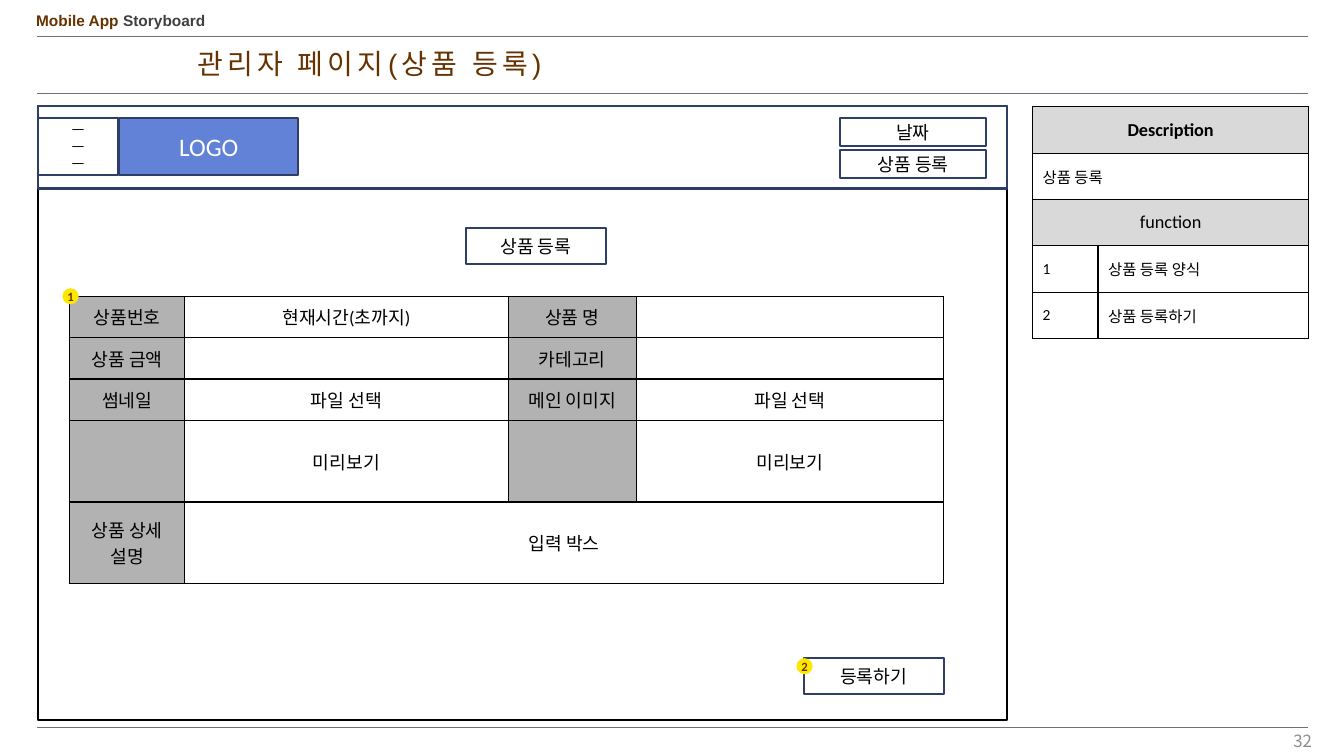
from lxml import etree
from pptx import Presentation
from pptx import util as u
from pptx.dml.color import RGBColor
from pptx.enum import shapes, text
from pptx.oxml import ns

BLACK = RGBColor(0x00, 0x00, 0x00)
WHITE = RGBColor(0xFF, 0xFF, 0xFF)
BROWN = RGBColor(0x66, 0x33, 0x00)
CHARCOAL = RGBColor(0x40, 0x40, 0x40)
RULE = RGBColor(0x68, 0x72, 0x7E)
PAGE_GRAY = RGBColor(0x8C, 0x8C, 0x8C)
NAVY = RGBColor(0x2E, 0x3E, 0x67)
BLUE = RGBColor(0x61, 0x82, 0xD6)
YELLOW = RGBColor(0xFC, 0xE7, 0x00)
LIGHT_GRAY = RGBColor(0xD9, 0xD9, 0xD9)
LABEL_GRAY = RGBColor(0xB2, 0xB2, 0xB2)

LEFT, CENTER, RIGHT = text.PP_ALIGN.LEFT, text.PP_ALIGN.CENTER, text.PP_ALIGN.RIGHT
RECT, OVAL = shapes.MSO_SHAPE.RECTANGLE, shapes.MSO_SHAPE.OVAL

BODY = {"name": "Calibri", "size": u.Pt(13), "color": BLACK, "bold": False}
HEADING = BODY | {"bold": True}
NOTE = BODY | {"size": u.Pt(11)}
MENU = BODY | {"size": u.Pt(10)}
LOGO = BODY | {"size": u.Pt(18), "color": WHITE}
BADGE = BODY | {"size": u.Pt(9), "color": BROWN, "bold": True}
BRAND = {"name": "Arial", "size": u.Pt(11), "color": BROWN, "bold": True}
TITLE = {"name": "Arial", "size": u.Pt(20), "color": BROWN}
PAGE_NUMBER = {"name": "Noto Sans CJK KR", "size": u.Pt(12), "color": PAGE_GRAY}

RULE_TOPS = [0.36, 0.92, 7.21]

TEXTS = [
    ((0.26, 0.1, 3.57, 0.25), LEFT, text.MSO_ANCHOR.TOP, 0.8,
     [("Mobile App ", BRAND), ("Storyboard", BRAND | {"color": CHARCOAL})]),
    ((1.86, 0.45, 4.8, 0.4), LEFT, text.MSO_ANCHOR.TOP, 0.9,
     [("관리자 페이지(상품 등록)", TITLE)]),
    ((10.24, 7.15, 2.87, 0.4), RIGHT, text.MSO_ANCHOR.MIDDLE, 1.0,
     [("32", PAGE_NUMBER)]),
]

FRAMES = [
    ((0.38, 1.05, 9.61, 6.09), WHITE, BLACK, "", BODY),
    ((0.38, 1.05, 9.61, 0.82), WHITE, NAVY, "", BODY),
    ((1.18, 1.17, 1.78, 0.57), BLUE, NAVY, "LOGO", LOGO),
    ((0.38, 1.17, 0.79, 0.57), WHITE, NAVY, "ㅡ\nㅡ\nㅡ", MENU),
    ((8.33, 1.17, 1.45, 0.28), WHITE, NAVY, "날짜", BODY),
    ((8.33, 1.49, 1.45, 0.28), WHITE, NAVY, "상품 등록", BODY),
    ((4.62, 2.26, 1.39, 0.36), WHITE, NAVY, "상품 등록", BODY),
    ((7.97, 6.53, 1.39, 0.36), WHITE, NAVY, "등록하기", BODY),
]

BADGES = [("1", 0.62, 2.86), ("2", 7.9, 6.53)]

DESCRIPTION_COLUMNS = [0.65, 2.09]
DESCRIPTION_ROWS = [0.46] * 5
DESCRIPTION = [
    ["Description", ""],
    ["상품 등록", ""],
    ["function", ""],
    ["1", "상품 등록 양식"],
    ["2", "상품 등록하기"],
]
DESCRIPTION_MERGES = [(row, 0, 1) for row in range(3)]

PRODUCT_COLUMNS = [1.14, 3.21, 1.27, 3.05]
PRODUCT_ROWS = [0.41] * 3 + [0.81] * 2
PRODUCT = [
    ["상품번호", "현재시간(초까지)", "상품 명", ""],
    ["상품 금액", "", "카테고리", ""],
    ["썸네일", "파일 선택", "메인 이미지", "파일 선택"],
    ["", "미리보기", "", "미리보기"],
    ["상품 상세\n설명", "입력 박스", "", ""],
]
PRODUCT_MERGES = [(4, 1, 3)]


def inches(values):
    return [u.Inches(value) for value in values]


def style_font(font, style):
    for name, value in style.items():
        if name == "color":
            font.color.rgb = value
        else:
            setattr(font, name, value)


def write(frame, content, style, align):
    frame.text = content
    for para in frame.paragraphs:
        para.alignment = align
        style_font(para.font, style)
        for span in para.runs:
            style_font(span.font, style)


def add_rule(page, top):
    rule = page.shapes.add_connector(
        shapes.MSO_CONNECTOR.STRAIGHT, *inches((0.37, top, 12.97, top)))
    rule.line.color.rgb = RULE
    rule.line.width = u.Pt(0.25)
    etree.SubElement(rule._element.spPr, ns.qn("a:effectLst"))


def add_text(page, place, align, anchor, spacing, spans):
    frame = page.shapes.add_textbox(*inches(place)).text_frame
    frame.word_wrap = True
    frame.vertical_anchor = anchor
    para = frame.paragraphs[0]
    para.alignment = align
    para.line_spacing = spacing
    for content, style in spans:
        span = para.add_run()
        span.text = content
        style_font(span.font, style)
        if style is TITLE:
            span.font._element.set("spc", "300")


def add_box(page, kind, place, fill, line, content, style):
    box = page.shapes.add_shape(kind, *inches(place))
    box.shadow.inherit = False
    box.fill.solid()
    box.fill.fore_color.rgb = fill
    if line is None:
        box.line.fill.background()
    else:
        box.line.color.rgb = line
        box.line.width = u.Pt(1.5)
    frame = box.text_frame
    frame.word_wrap = True
    frame.vertical_anchor = text.MSO_ANCHOR.MIDDLE
    if kind == OVAL:
        for side in ("left", "top", "right", "bottom"):
            setattr(frame, f"margin_{side}", 0)
    if content:
        write(frame, content, style, CENTER)


def add_borders(cell):
    properties = cell._tc.get_or_add_tcPr()
    for side in ("lnL", "lnR", "lnT", "lnB"):
        border = etree.SubElement(properties, ns.qn(f"a:{side}"), w=str(u.Pt(1)))
        fill = etree.SubElement(border, ns.qn("a:solidFill"))
        etree.SubElement(fill, ns.qn("a:srgbClr"), val=str(BLACK))


def add_grid(page, left, top, columns, rows, contents, merges, cell_format):
    place = inches((left, top, sum(columns), sum(rows)))
    table = page.shapes.add_table(len(rows), len(columns), *place).table
    for column, width in zip(table.columns, columns):
        column.width = u.Inches(width)
    for row, height in zip(table.rows, rows):
        row.height = u.Inches(height)
    for r, line in enumerate(contents):
        for c, content in enumerate(line):
            cell = table.cell(r, c)
            fill, style, align = cell_format(r, c)
            add_borders(cell)
            cell.fill.solid()
            cell.fill.fore_color.rgb = fill
            cell.vertical_anchor = text.MSO_ANCHOR.MIDDLE
            write(cell.text_frame, content, style, align)
    for r, first, last in merges:
        table.cell(r, first).merge(table.cell(r, last))


def description_format(row, column):
    if row in (0, 2):
        return LIGHT_GRAY, HEADING if row == 0 else BODY, CENTER
    return WHITE, NOTE, LEFT


def product_format(row, column):
    is_label = column == 0 or (column == 2 and row < 4)
    return LABEL_GRAY if is_label else WHITE, BODY, CENTER


def main():
    deck = Presentation()
    deck.slide_width, deck.slide_height = inches((13.33, 7.5))
    page = deck.slides.add_slide(deck.slide_layouts[6])
    for top in RULE_TOPS:
        add_rule(page, top)
    for entry in TEXTS:
        add_text(page, *entry)
    for entry in FRAMES:
        add_box(page, RECT, *entry)
    add_grid(page, 10.24, 1.06, DESCRIPTION_COLUMNS, DESCRIPTION_ROWS,
             DESCRIPTION, DESCRIPTION_MERGES, description_format)
    add_grid(page, 0.69, 2.94, PRODUCT_COLUMNS, PRODUCT_ROWS,
             PRODUCT, PRODUCT_MERGES, product_format)
    for number, left, top in BADGES:
        add_box(page, OVAL, (left, top, 0.16, 0.16), YELLOW, None, number, BADGE)
    deck.save("out.pptx")


if __name__ == "__main__":
    main()
